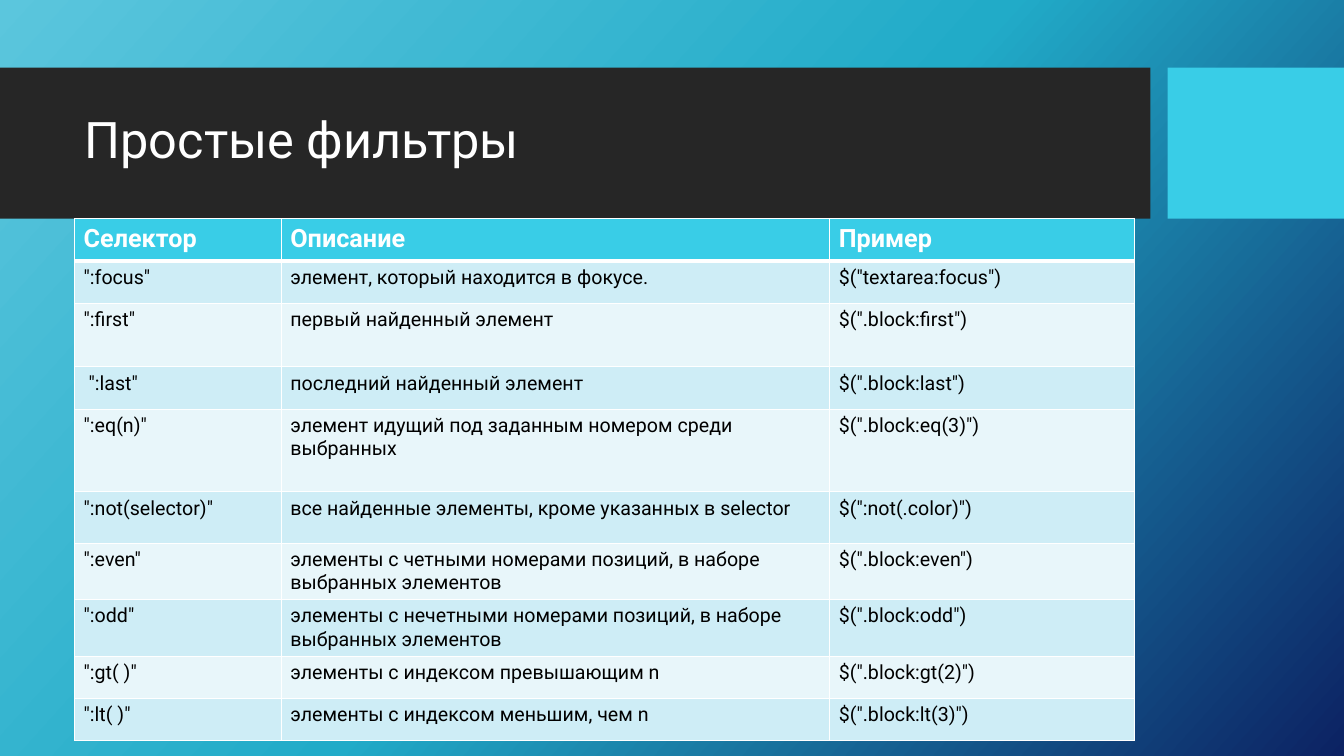
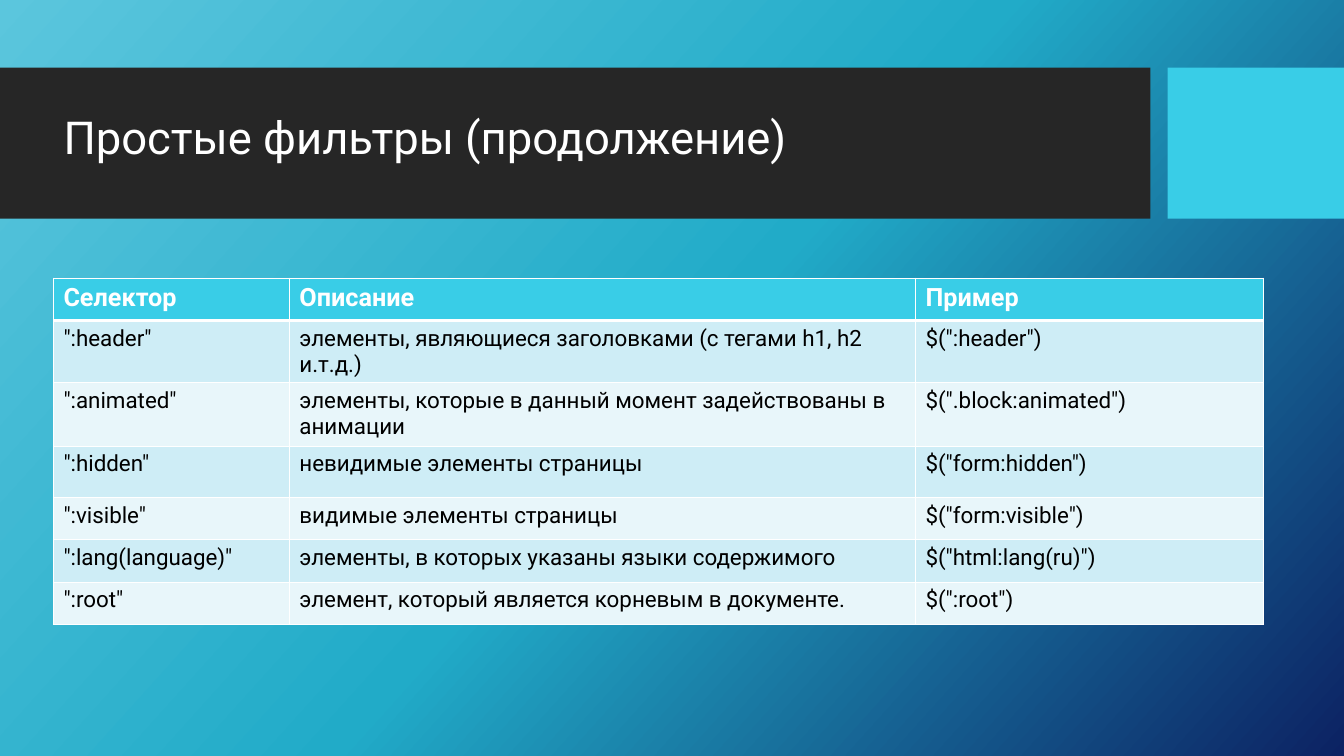
from copy import deepcopy
from dataclasses import dataclass

from lxml.etree import SubElement
from pptx import Presentation
from pptx.dml.color import RGBColor as Color
from pptx.enum.shapes import MSO_SHAPE as Preset
from pptx.enum.text import MSO_ANCHOR as Anchor, MSO_AUTO_SIZE as AutoSize, PP_ALIGN as Align
from pptx.oxml.ns import qn
from pptx.util import Inches, Pt


@dataclass(frozen=True)
class Theme:
    font: str = "Roboto"
    white: str = "FFFFFF"
    black: str = "000000"
    band: str = "262626"
    accent: str = "39CDE7"
    stripes: tuple = ("CEEDF6", "E8F6FA")
    gradient: tuple = ((0, "5BC6DD"), (0.5, "21ABC8"), (1, "0C2263"))
    gradient_angle: int = 360 - 42
    header_size: int = 18
    thin: int = 1
    thick: int = 3


def apply_format(target, values):
    for name, value in values.items():
        setattr(target, name, value)


class Deck:
    def __init__(self, theme):
        self.theme = theme
        self.presentation = Presentation()
        apply_format(self.presentation, {"slide_width": Inches(13.33), "slide_height": Inches(7.5)})
        self.layout = self.presentation.slide_layouts.get_by_name("Title Only")
        self.slide = None
        self.paint_background()

    def paint_background(self):
        master = self.presentation.slide_master
        fill = master.background.fill
        fill.gradient()
        fill.gradient_angle = self.theme.gradient_angle
        stop_list = master.element.xpath(".//p:bg//a:gsLst")[0]
        stop_list.append(deepcopy(stop_list[0]))
        for stop, (position, color) in zip(fill.gradient_stops, self.theme.gradient):
            stop.position = position
            stop.color.rgb = Color.from_string(color)

    def add_slide(self, title, size, left, top, width, height):
        first = self.slide is None
        self.slide = self.presentation.slides.add_slide(self.layout)
        if first:
            self.add_layout_band(0, 11.41, self.theme.band)
            self.add_layout_band(11.58, 1.75, self.theme.accent)
        self.add_title(title, size, left, top, width, height)

    def add_layout_band(self, left, width, color):
        shape = self.slide.shapes.add_shape(
            Preset.RECTANGLE, Inches(left), Inches(0.67), Inches(width), Inches(1.5))
        shape.shadow.inherit = False
        shape.fill.solid()
        shape.fill.fore_color.rgb = Color.from_string(color)
        shape.line.fill.background()
        self.layout.placeholders[0].element.addprevious(shape.element)

    def add_title(self, text, size, left, top, width, height):
        title = self.slide.shapes.title
        apply_format(title, {"left": Inches(left), "top": Inches(top),
                             "width": Inches(width), "height": Inches(height)})
        apply_format(title.text_frame, {"vertical_anchor": Anchor.MIDDLE, "word_wrap": True,
                                        "auto_size": AutoSize.NONE})
        paragraph = title.text_frame.paragraphs[0]
        apply_format(paragraph, {"alignment": Align.LEFT, "line_spacing": 0.9})
        self.add_run(paragraph, text, size, self.theme.white)

    def add_run(self, paragraph, text, size, color, bold=False):
        run = paragraph.add_run()
        run.text = text
        apply_format(run.font, {"name": self.theme.font, "size": Pt(size), "bold": bold})
        run.font.color.rgb = Color.from_string(color)

    def add_table(self, left, top, columns, heights, rows, size, margin):
        table = self.slide.shapes.add_table(
            len(rows), len(columns), Inches(left), Inches(top),
            Inches(sum(columns)), Inches(sum(heights))).table
        for column, width in zip(table.columns, columns):
            column.width = Inches(width)
        for row_index, (row, height, texts) in enumerate(zip(table.rows, heights, rows)):
            row.height = Inches(height)
            for cell, text in zip(row.cells, texts):
                self.format_cell(cell, row_index, text, size, margin)

    def format_cell(self, cell, row_index, text, size, margin):
        theme = self.theme
        header = row_index == 0
        apply_format(cell, {"margin_left": Inches(margin), "margin_right": Inches(margin),
                            "margin_top": Inches(0.05), "margin_bottom": Inches(0.05),
                            "vertical_anchor": Anchor.TOP})
        self.add_borders(cell, {"lnL": theme.thin, "lnR": theme.thin,
                                "lnT": theme.thick if row_index == 1 else theme.thin,
                                "lnB": theme.thick if header else theme.thin})
        fill = theme.accent if header else theme.stripes[(row_index - 1) % 2]
        cell.fill.solid()
        cell.fill.fore_color.rgb = Color.from_string(fill)
        self.add_run(cell.text_frame.paragraphs[0], text,
                     theme.header_size if header else size,
                     theme.white if header else theme.black, header)

    def add_borders(self, cell, widths):
        properties = cell._tc.get_or_add_tcPr()
        for side, width in widths.items():
            line = SubElement(properties, qn(f"a:{side}"), w=str(Pt(width)))
            fill = SubElement(line, qn("a:solidFill"))
            SubElement(fill, qn("a:srgbClr"), val=self.theme.white)


HEADER = ("Селектор", "Описание", "Пример")

SIMPLE_FILTERS = (
    HEADER,
    ('":focus"', "элемент, который находится в фокусе.", '$("textarea:focus")'),
    ('":first"', "первый найденный элемент", '$(".block:first")'),
    (' ":last"', "последний найденный элемент", '$(".block:last")'),
    ('":eq(n)"', "элемент идущий под заданным номером среди выбранных", '$(".block:eq(3)")'),
    ('":not(selector)"', "все найденные элементы, кроме указанных в selector", '$(":not(.color)")'),
    ('":even"', "элементы с четными номерами позиций, в наборе выбранных элементов",
     '$(".block:even")'),
    ('":odd"', "элементы с нечетными номерами позиций, в наборе выбранных элементов",
     '$(".block:odd")'),
    ('":gt( )"', "элементы с индексом превышающим n", '$(".block:gt(2)")'),
    ('":lt( )"', "элементы с индексом меньшим, чем n", '$(".block:lt(3)")'),
)

MORE_FILTERS = (
    HEADER,
    ('":header"', "элементы, являющиеся заголовками (с тегами h1, h2 и.т.д.)", '$(":header")'),
    ('":animated"', "элементы, которые в данный момент задействованы в анимации",
     '$(".block:animated")'),
    ('":hidden"', "невидимые элементы страницы", '$("form:hidden")'),
    ('":visible"', "видимые элементы страницы", '$("form:visible")'),
    ('":lang(language)"', "элементы, в которых указаны языки содержимого", '$("html:lang(ru)")'),
    ('":root"', "элемент, который является корневым в документе.", '$(":root")'),
)


def main():
    deck = Deck(Theme())
    deck.add_slide("Простые фильтры", 36, 0.74, 0.82, 10.51, 1.18)
    deck.add_table(0.74, 2.17, (2.05, 5.44, 3.02),
                   (0.42, 0.42, 0.63, 0.42, 0.82, 0.51, 0.56, 0.56, 0.42, 0.42),
                   SIMPLE_FILTERS, 14, 0.09)
    deck.add_slide("Простые фильтры (продолжение)", 32.4, 0.53, 1.07, 9.98, 0.64)
    deck.add_table(0.53, 2.76, (2.34, 6.21, 3.45),
                   (0.42, 0.61, 0.63, 0.51, 0.42, 0.42, 0.42),
                   MORE_FILTERS, 16, 0.1)
    deck.presentation.save("out.pptx")


if __name__ == "__main__":
    main()
